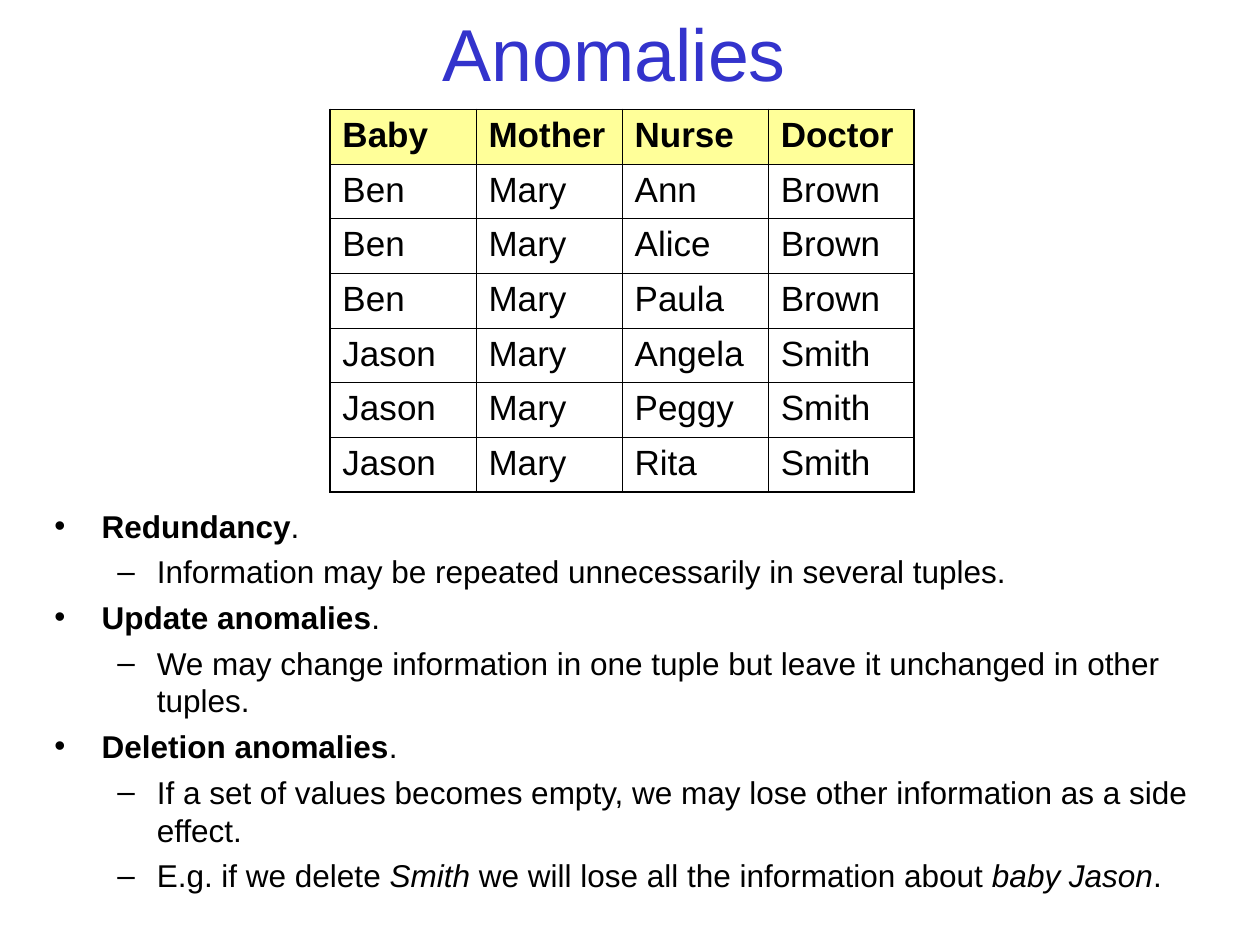
import pptx
import pptx.dml.color
import pptx.enum.text
import pptx.oxml.ns
import pptx.util
from lxml import etree

Pt = pptx.util.Pt
BLACK = pptx.dml.color.RGBColor(0x00, 0x00, 0x00)
BLUE = pptx.dml.color.RGBColor(0x33, 0x33, 0xCC)
YELLOW = pptx.dml.color.RGBColor(0xFF, 0xFF, 0x99)
FONT = "Arial"
THIN, THICK = 0.45, 1.08


def add_xml(parent, tag, **attrs):
    return etree.SubElement(parent, pptx.oxml.ns.qn(tag), attrs)


def set_font(p, size, color):
    p.font.name = FONT
    p.font.size = Pt(size)
    p.font.color.rgb = color


prs = pptx.Presentation()
prs.slide_width, prs.slide_height = Pt(720), Pt(540)
s = prs.slides.add_slide(prs.slide_layouts[6])

# Bulleted list: level and runs of (text, style)
bullets = [
    (0, [("Redundancy", "b"), (".", "")]),
    (1, [("Information may be repeated unnecessarily in several tuples.", "")]),
    (0, [("Update anomalies", "b"), (".", "")]),
    (1, [("We may change information in one tuple but leave it unchanged in other tuples.", "")]),
    (0, [("Deletion anomalies", "b"), (".", "")]),
    (1, [("If a set of values becomes empty, we may lose other information as a side effect.", "")]),
    (1, [("E.g. if we delete ", ""), ("Smith", "i"),
         (" we will lose all the information about ", ""), ("baby Jason", "i"), (".", "")]),
]
# Left margin, first-line indent and bullet of each level
levels = [(27, -27, "•"), (58.5, -22.5, "–")]

tf = s.shapes.add_textbox(Pt(24), Pt(286), Pt(672), Pt(236)).text_frame
tf.word_wrap = True
for i, (level, runs) in enumerate(bullets):
    p = tf.paragraphs[0] if i == 0 else tf.add_paragraph()
    p.level = level
    margin, indent, char = levels[level]
    pPr = p._p.get_or_add_pPr()
    pPr.set("marL", str(Pt(margin)))
    pPr.set("indent", str(Pt(indent)))
    add_xml(add_xml(pPr, "a:buClr"), "a:srgbClr", val=str(BLACK))
    add_xml(pPr, "a:buFont", typeface=FONT)
    add_xml(pPr, "a:buChar", char=char)
    if i:
        p.space_before = Pt(4.5)
    set_font(p, 18, BLACK)
    for text, style in runs:
        r = p.add_run()
        r.text = text
        if style == "b":
            r.font.bold = True
        elif style == "i":
            r.font.italic = True

# Title
tf = s.shapes.add_textbox(Pt(42), Pt(6), Pt(618), Pt(48)).text_frame
tf.word_wrap = True
tf.vertical_anchor = pptx.enum.text.MSO_ANCHOR.MIDDLE
p = tf.paragraphs[0]
p.text = "Anomalies"
p.alignment = pptx.enum.text.PP_ALIGN.CENTER
set_font(p, 42, BLUE)

# Table of births
rows = [
    ("Baby", "Mother", "Nurse", "Doctor"),
    ("Ben", "Mary", "Ann", "Brown"),
    ("Ben", "Mary", "Alice", "Brown"),
    ("Ben", "Mary", "Paula", "Brown"),
    ("Jason", "Mary", "Angela", "Smith"),
    ("Jason", "Mary", "Peggy", "Smith"),
    ("Jason", "Mary", "Rita", "Smith"),
]
last_row, last_col = len(rows) - 1, len(rows[0]) - 1
table = s.shapes.add_table(len(rows), len(rows[0]), Pt(188.5), Pt(62.5),
                           Pt(334), Pt(218.4)).table
table.first_row = table.horz_banding = False
for col in table.columns:
    col.width = Pt(83.5)
for row in table.rows:
    row.height = Pt(31.2)

for i, row in enumerate(rows):
    for j, text in enumerate(row):
        cell = table.cell(i, j)
        p = cell.text_frame.paragraphs[0]
        p.text = text
        set_font(p, 20, BLACK)
        p.font.bold = i == 0

        # Borders: thick around the table, thin inside
        tcPr = cell._tc.get_or_add_tcPr()
        edges = {"a:lnL": j == 0, "a:lnR": j == last_col,
                 "a:lnT": i == 0, "a:lnB": i == last_row}
        for tag, outer in edges.items():
            ln = add_xml(tcPr, tag, w=str(Pt(THICK if outer else THIN)))
            add_xml(add_xml(ln, "a:solidFill"), "a:srgbClr", val=str(BLACK))

        if i == 0:
            cell.fill.solid()
            cell.fill.fore_color.rgb = YELLOW
        else:
            cell.fill.background()

prs.save("out.pptx")
